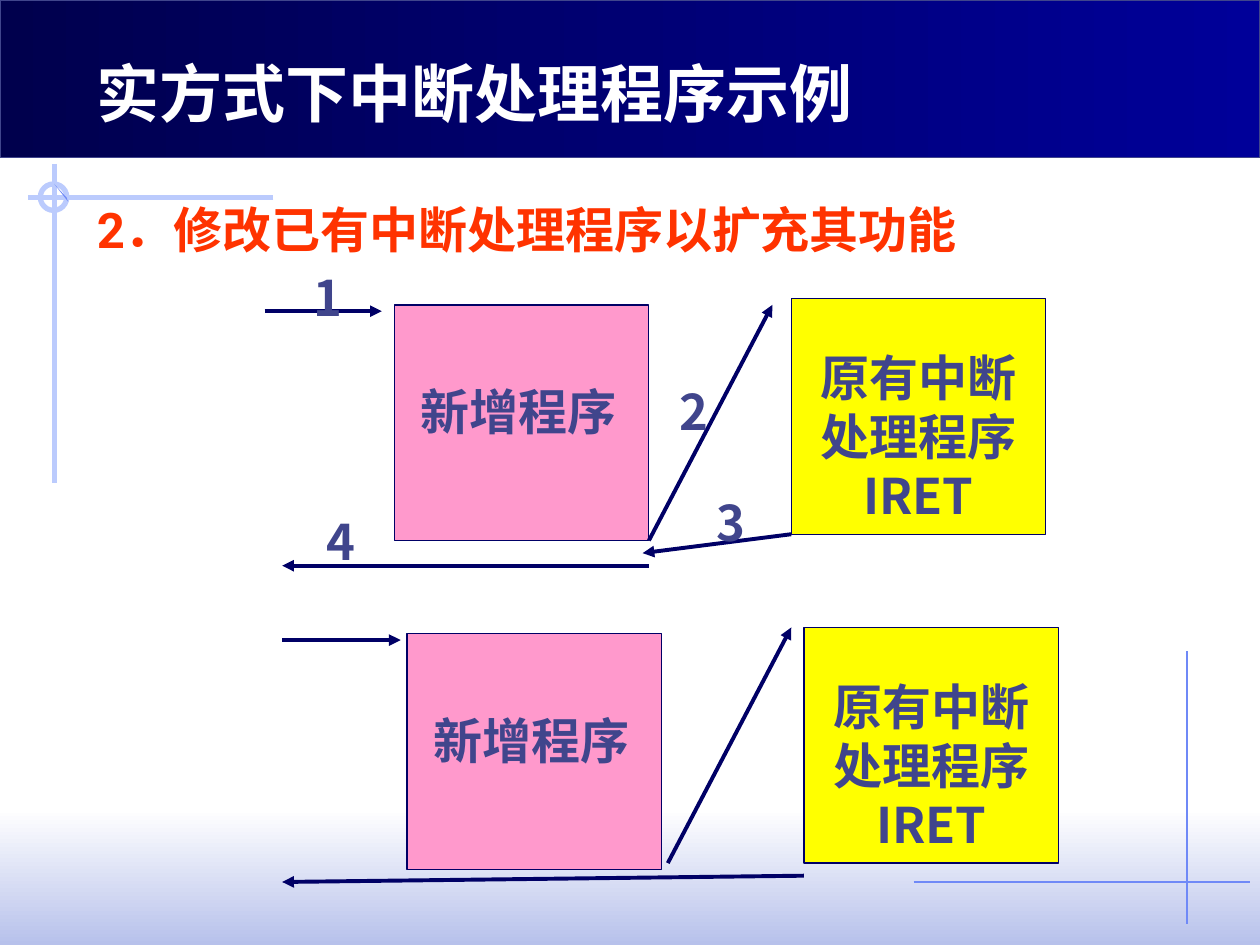
"""Build the slide on extending an existing interrupt handler in real mode."""
from lxml import etree
from pptx import Presentation
from pptx import util as u
from pptx.dml.color import RGBColor
from pptx.enum import shapes, text
from pptx.oxml import ns

THEME = {
    "navy": "000066", "ink": "40458C", "pink": "FF99CC", "yellow": "FFFF00",
    "red": "FF3300", "white": "FFFFFF", "pale": "BBCBFD", "blue": "6F89F7",
    "mist": "B7C1EB", "bar_dark": "00004D", "bar_light": "000099",
    "cjk": "Noto Sans CJK SC", "heading_font": "Roboto", "title_font": "Times New Roman",
    "title_size": 36, "body_size": 28, "leading": 1.2,
    "hairline": 0.75, "arrow": 2.25, "guide": 3,
}

TITLE = "实方式下中断处理程序示例"
HEADING = "2．修改已有中断处理程序以扩充其功能"
NEW_PROGRAM = ["新增程序"]
OLD_HANDLER = ["原有中断", "处理程序", "IRET"]

BLOCK = (2.02, 1.87)
BLOCK_PAIRS = [(3.13, 2.37), (3.23, 4.98)]
GUIDES = [
    ((9.42, 5.17), (9.42, 7.33), "blue", "hairline"),
    ((7.25, 7), (9.92, 7), "blue", "hairline"),
    ((2.17, 1.57), (0.22, 1.57), "pale", "guide"),
    ((0.43, 1.3), (0.43, 3.83), "pale", "guide"),
]
STEPS = [
    ("1", (2.49, 2.03), (2.1, 2.47), (3.03, 2.47)),
    ("2", (5.39, 2.94), (5.15, 4.29), (6.13, 2.42)),
    ("3", (5.69, 3.82), (6.28, 4.24), (5.1, 4.39)),
    ("4", (2.59, 3.97), (5.15, 4.49), (2.24, 4.49)),
]
LOWER_ARROWS = [
    ((2.24, 5.08), (3.18, 5.08)),
    ((5.3, 6.85), (6.28, 4.98)),
    ((6.38, 6.95), (2.24, 7)),
]


def color(name):
    return RGBColor.from_string(THEME[name])


def apply(target, values):
    for key, value in values.items():
        setattr(target, key, value)


def style(shape, fill=None, outline=None, width="hairline"):
    shape.shadow.inherit = False
    if isinstance(fill, tuple):
        shape.fill.gradient()
        shape.fill.gradient_angle = fill[2]
        for stop, name in zip(shape.fill.gradient_stops, fill):
            stop.color.rgb = color(name)
    elif fill:
        shape.fill.solid()
        shape.fill.fore_color.rgb = color(fill)
    else:
        shape.fill.background()
    if outline:
        shape.line.color.rgb = color(outline)
        shape.line.width = u.Pt(THEME[width])
    else:
        shape.line.fill.background()


def add_block(slide, box, kind=shapes.MSO_SHAPE.RECTANGLE, **look):
    style(slide.shapes.add_shape(kind, *map(u.Inches, box)), **look)


def add_line(slide, start, end, shade="navy", width="arrow", arrow=True):
    line = slide.shapes.add_connector(
        shapes.MSO_CONNECTOR.STRAIGHT, *map(u.Inches, start + end))
    line.line.color.rgb = color(shade)
    line.line.width = u.Pt(THEME[width])
    if arrow:
        etree.SubElement(line.line._get_or_add_ln(), ns.qn("a:tailEnd"), type="triangle")
    etree.SubElement(line._element.spPr, ns.qn("a:effectLst"))


def add_text(slide, box, lines, shade="ink", size="body_size", font="cjk",
             side=0, hanging=0, wrap=False, align=text.PP_ALIGN.LEFT):
    frame = slide.shapes.add_textbox(*map(u.Inches, box)).text_frame
    apply(frame, {
        "word_wrap": wrap, "margin_left": u.Inches(side), "margin_right": u.Inches(side),
        "margin_top": u.Inches(0.09), "margin_bottom": u.Inches(0.01),
    })
    for index, words in enumerate(lines):
        paragraph = frame.add_paragraph() if index else frame.paragraphs[0]
        apply(paragraph, {"alignment": align,
                          "line_spacing": u.Pt(THEME[size] * THEME["leading"])})
        if hanging:
            properties = paragraph._p.get_or_add_pPr()
            properties.set("marL", str(u.Inches(hanging)))
            properties.set("indent", str(-u.Inches(hanging)))
        run = paragraph.add_run()
        run.text = words
        apply(run.font, {"size": u.Pt(THEME[size]), "bold": True, "name": THEME[font]})
        run.font.color.rgb = color(shade)
        etree.SubElement(run._r.get_or_add_rPr(), ns.qn("a:ea"), typeface=THEME["cjk"])


def add_backdrop(slide):
    add_block(slide, (0, 6.42, 10, 1.08), fill=("white", "mist", 270))
    for start, end, shade, width in GUIDES:
        add_line(slide, start, end, shade, width, arrow=False)
    add_block(slide, (0.32, 1.46, 0.21, 0.21), shapes.MSO_SHAPE.OVAL,
              outline="pale", width="guide")
    sliver = slide.shapes.build_freeform(u.Inches(0.53), u.Inches(1.57))
    sliver.add_line_segments([(u.Inches(0.54), u.Inches(1.6)),
                              (u.Inches(0.43), u.Inches(1.46))])
    style(sliver.convert_to_shape(), fill="blue")
    add_block(slide, (0, 0, 10, 1.25), fill=("bar_dark", "bar_light", 0), outline="ink")


def add_block_pair(slide, left, top):
    add_block(slide, (left + 3.15, top, *BLOCK), fill="yellow", outline="navy")
    add_block(slide, (left, top + 0.05, *BLOCK), fill="pink", outline="navy")
    add_text(slide, (left + 0.21, top + 0.57, 1.56, 0.47), NEW_PROGRAM)
    add_text(slide, (left + 3.25, top + 0.3, 1.82, 1.41), OLD_HANDLER,
             wrap=True, align=text.PP_ALIGN.CENTER)


def main():
    deck = Presentation()
    apply(deck, {"slide_width": u.Inches(10), "slide_height": u.Inches(7.5)})
    slide = deck.slides.add_slide(deck.slide_layouts[6])
    add_backdrop(slide)
    add_text(slide, (0.67, 1.49, 7.06, 0.57), [HEADING], "red",
             font="heading_font", side=0.1, hanging=0.38, wrap=True)
    for left, top in BLOCK_PAIRS:
        add_block_pair(slide, left, top)
    for start, end in LOWER_ARROWS:
        add_line(slide, start, end)
    for number, (left, top), start, end in STEPS:
        add_line(slide, start, end)
        add_text(slide, (left, top, 0.2, 0.47), [number])
    add_text(slide, (0.67, 0.34, 6.26, 0.71), [TITLE], "white",
             "title_size", "title_font", side=0.1)
    deck.save("out.pptx")


if __name__ == "__main__":
    main()
